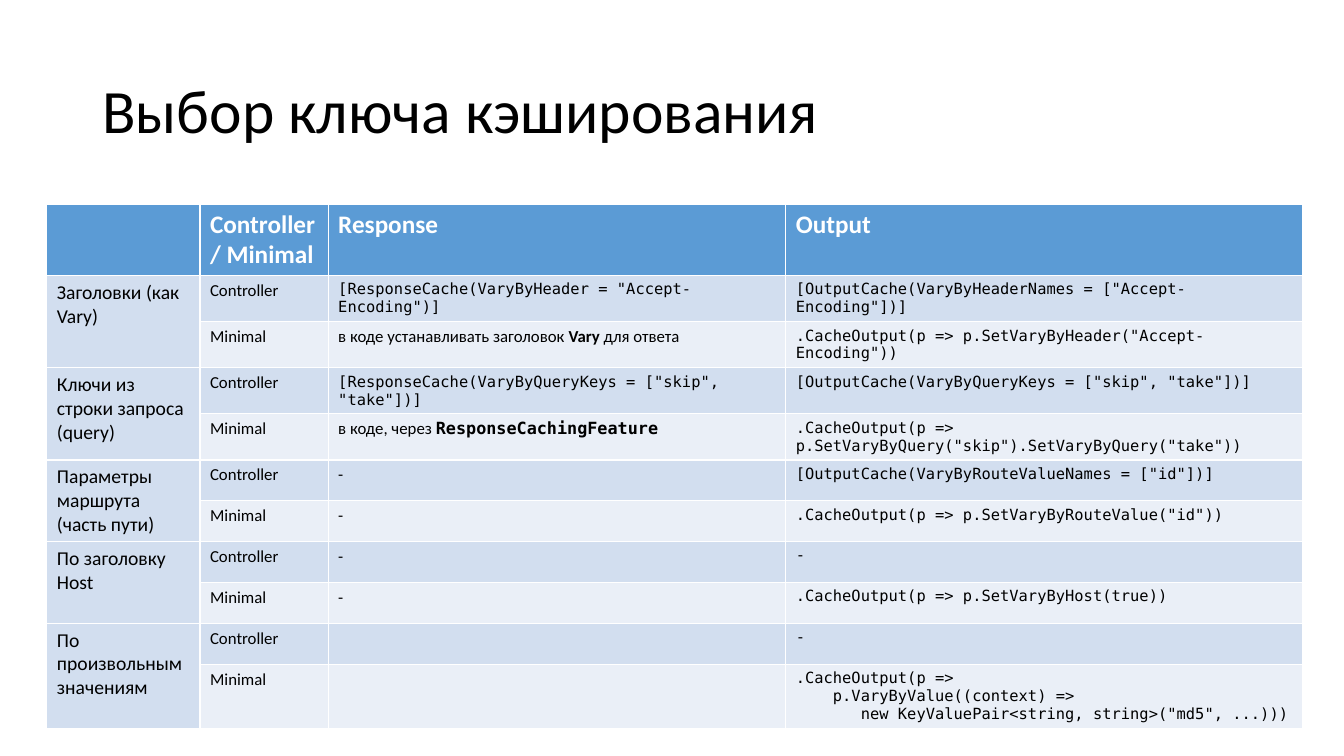
from pptx import Presentation
from pptx.dml.color import RGBColor
from pptx.enum.text import MSO_ANCHOR, MSO_AUTO_SIZE, PP_ALIGN
from pptx.util import Cm, Pt

COLORS = {
    "header": "5B9BD5",
    "controller": "D2DEEF",
    "minimal": "EAEFF7",
    "white": "FFFFFF",
    "black": "000000",
}
SANS, MONO = "Calibri", "DejaVu Sans Mono"


def add_run(paragraph, text, size, font=SANS, color="black", bold=False):
    run = paragraph.add_run()
    run.text = text
    run.font.size = Pt(size)
    run.font.name = font
    run.font.bold = bold
    run.font.color.rgb = RGBColor.from_string(COLORS[color])


def add_code(cell, code):
    for index, line in enumerate(code.split("\n")):
        frame = cell.text_frame
        paragraph = frame.add_paragraph() if index else frame.paragraphs[0]
        add_run(paragraph, line, 11, MONO)


presentation = Presentation()
presentation.slide_width = Cm(33.87)
presentation.slide_height = Cm(19.05)
slide = presentation.slides.add_slide(presentation.slide_layouts[5])

# Title
title = slide.shapes.title
title.left, title.top, title.width, title.height = Cm(2.33), Cm(1.01), Cm(29.21), Cm(3.68)
title.text_frame.vertical_anchor = MSO_ANCHOR.MIDDLE
title.text_frame.auto_size = MSO_AUTO_SIZE.NONE
title.text_frame.word_wrap = True
title_paragraph = title.text_frame.paragraphs[0]
title_paragraph.alignment = PP_ALIGN.LEFT
title_paragraph.line_spacing = 0.9
add_run(title_paragraph, "Выбор ключа кэширования", 44)

# Table content: each key has a Controller row and a Minimal row;
# a response is a list of (text, font, size, bold) runs
DASH = [("-", SANS, 12, False)]
headers = ["", "Controller/ Minimal", "Response", "Output"]
cache_keys = [
    ("Заголовки (как Vary)", [
        ([('[ResponseCache(VaryByHeader = "Accept-Encoding")]', MONO, 11, False)],
         '[OutputCache(VaryByHeaderNames = ["Accept-Encoding"])]'),
        ([("в коде устанавливать заголовок ", SANS, 12, False),
          ("Vary", SANS, 12, True),
          (" для ответа", SANS, 12, False)],
         '.CacheOutput(p => p.SetVaryByHeader("Accept-Encoding"))'),
    ]),
    ("Ключи из строки запроса (query)", [
        ([('[ResponseCache(VaryByQueryKeys = ["skip", "take"])]', MONO, 11, False)],
         '[OutputCache(VaryByQueryKeys = ["skip", "take"])]'),
        ([("в коде, через ", SANS, 12, False),
          ("ResponseCachingFeature", MONO, 12, True)],
         '.CacheOutput(p => p.SetVaryByQuery("skip").SetVaryByQuery("take"))'),
    ]),
    ("Параметры маршрута (часть пути)", [
        (DASH, '[OutputCache(VaryByRouteValueNames = ["id"])]'),
        (DASH, '.CacheOutput(p => p.SetVaryByRouteValue("id"))'),
    ]),
    ("По заголовку Host", [
        (DASH, "-"),
        (DASH, ".CacheOutput(p => p.SetVaryByHost(true))"),
    ]),
    ("По произвольным значениям", [
        ([], "-"),
        ([], ".CacheOutput(p =>\n"
             "    p.VaryByValue((context) =>\n"
             '       new KeyValuePair<string, string>("md5", ...)))'),
    ]),
]

# Table grid
column_widths = [3.86, 3.23, 11.53, 13.03]
row_heights = [1.78] + [1.16] * 4 + [1.03] * 5 + [1.61]
table = slide.shapes.add_table(
    len(row_heights), len(column_widths),
    Cm(1.18), Cm(5.14), Cm(sum(column_widths)), Cm(sum(row_heights))).table
for column, width in zip(table.columns, column_widths):
    column.width = Cm(width)
for row, height in zip(table.rows, row_heights):
    row.height = Cm(height)

# Cell fills: header, then alternating rows
for row_index, row in enumerate(table.rows):
    for column_index, cell in enumerate(row.cells):
        if row_index == 0:
            fill = "header"
        elif row_index % 2 or column_index == 0:
            fill = "controller"
        else:
            fill = "minimal"
        cell.fill.solid()
        cell.fill.fore_color.rgb = RGBColor.from_string(COLORS[fill])

# Header text
for column_index, header in enumerate(headers):
    if header:
        paragraph = table.cell(0, column_index).text_frame.paragraphs[0]
        add_run(paragraph, header, 18, color="white", bold=True)

# Body text
for key_index, (key, variants) in enumerate(cache_keys):
    first_row = 1 + 2 * key_index
    key_cell = table.cell(first_row, 0)
    key_cell.merge(table.cell(first_row + 1, 0))
    add_run(key_cell.text_frame.paragraphs[0], key, 14)
    for offset, (response, output) in enumerate(variants):
        row_index = first_row + offset
        style = ("Controller", "Minimal")[offset]
        add_run(table.cell(row_index, 1).text_frame.paragraphs[0], style, 12)
        response_paragraph = table.cell(row_index, 2).text_frame.paragraphs[0]
        for text, font, size, bold in response:
            add_run(response_paragraph, text, size, font, bold=bold)
        add_code(table.cell(row_index, 3), output)

presentation.save("out.pptx")
